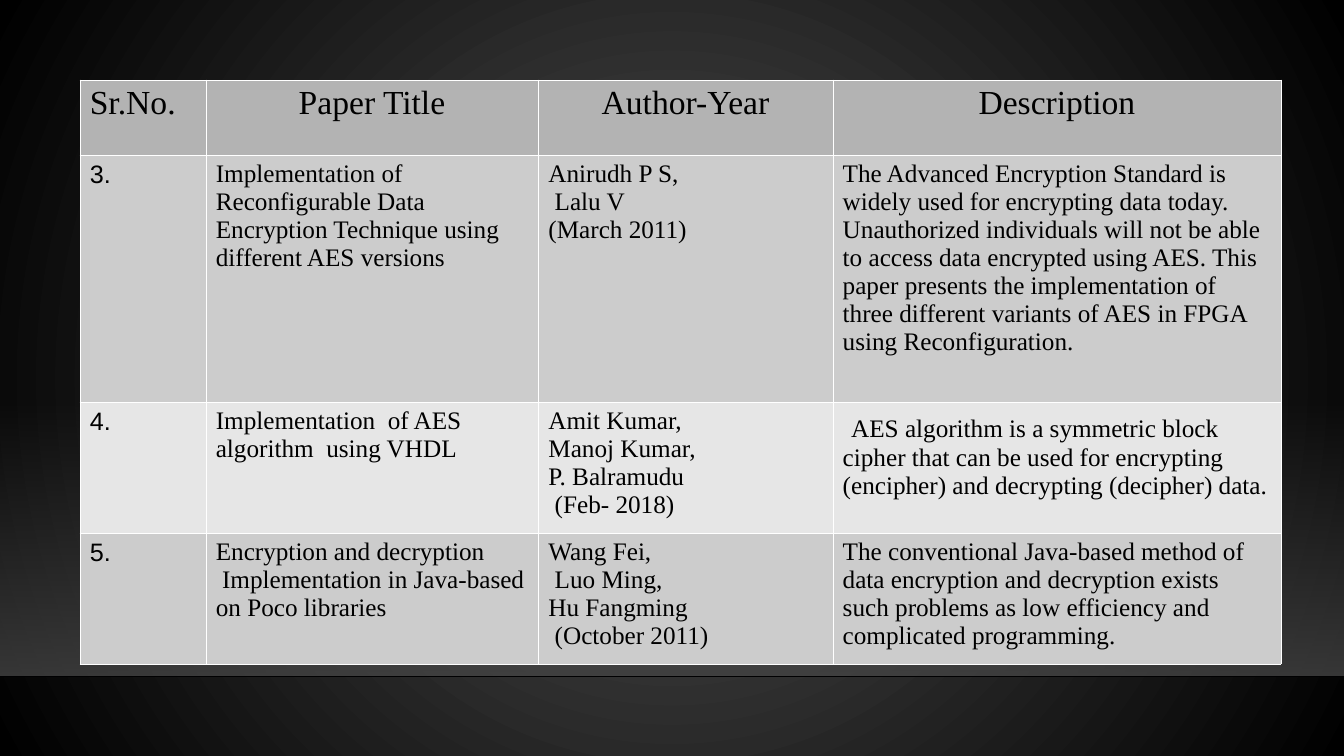
"""Builds a slide with a table that surveys papers on AES encryption."""
from pptx import Presentation
from pptx.dml.color import RGBColor
from pptx.enum.shapes import MSO_CONNECTOR, MSO_SHAPE
from pptx.enum.text import PP_ALIGN
from pptx.oxml import parse_xml
from pptx.oxml.ns import nsdecls, qn
from pptx.util import Inches, Pt

RECTANGLE = MSO_SHAPE.RECTANGLE
STRAIGHT = MSO_CONNECTOR.STRAIGHT
LEFT, CENTER = PP_ALIGN.LEFT, PP_ALIGN.CENTER
BLANK_LAYOUT = 6

RADIAL = '<a:path path="circle"><a:fillToRect l="50000" t="50000" r="50000" b="50000"/></a:path>'
DOWNWARD = '<a:lin ang="5400000" scaled="0"/>'

HEADINGS = ["Sr.No.", "Paper Title", "Author-Year", "Description"]
PAPERS = [
    ["3.",
     "Implementation of Reconfigurable Data Encryption Technique using different AES versions",
     "Anirudh P S,\n Lalu V\n(March 2011)",
     "The Advanced Encryption Standard is widely used for encrypting data today. "
     "Unauthorized individuals will not be able to access data encrypted using AES. "
     "This paper presents the implementation of three different variants of AES in FPGA "
     "using Reconfiguration."],
    ["4.",
     "Implementation  of AES\nalgorithm  using VHDL",
     "Amit Kumar,\nManoj Kumar,\nP. Balramudu\n (Feb- 2018)",
     " AES algorithm is a symmetric block cipher that can be used for encrypting "
     "(encipher) and decrypting (decipher) data."],
    ["5.",
     "Encryption and decryption\n Implementation in Java-based\non Poco libraries",
     "Wang Fei,\n Luo Ming,\nHu Fangming\n (October 2011)",
     "The conventional Java-based method of data encryption and decryption exists such "
     "problems as low efficiency and complicated programming."],
]
COLUMN_SHARES = [9.38, 24.75, 21.9, 33.38]
ROW_SHARES = [10, 32.67, 17.33, 17.33]


def color(value):
    """Turn a hex string into a colour."""
    return RGBColor.from_string(value)


def write(paragraph, text, *, size=18, font="Times New Roman", ink="000000", align=LEFT):
    """Add a formatted run of text to a paragraph."""
    paragraph.alignment = align
    run = paragraph.add_run()
    run.text = text
    run.font.size = Pt(size)
    run.font.name = font
    run.font.bold = False
    run.font.color.rgb = color(ink)


def apply_gradient(element, stops, direction):
    """Replace the solid fill in an element by a gradient of (place, colour, opacity) stops."""
    stop_list = "".join(
        f'<a:gs pos="{place * 1000}"><a:srgbClr val="{value}">'
        f'<a:alpha val="{opacity * 1000}"/></a:srgbClr></a:gs>'
        for place, value, opacity in stops)
    solid = element.find(".//" + qn("a:solidFill"))
    solid.getparent().replace(solid, parse_xml(
        f'<a:gradFill {nsdecls("a")} rotWithShape="1"><a:gsLst>{stop_list}</a:gsLst>'
        f'{direction}</a:gradFill>'))


class SlideBuilder:
    """Holds the style and the current slide; lengths are percentages of its size."""

    border = "FFFFFF"
    header_fill = "B3B3B3"
    band_fills = ["CCCCCC", "E6E6E6"]

    def __init__(self):
        """Start a widescreen presentation with one blank slide."""
        self.presentation = Presentation()
        self.presentation.slide_width = Inches(13.33)
        self.presentation.slide_height = Inches(7.5)
        layout = self.presentation.slide_layouts[BLANK_LAYOUT]
        self.slide = self.presentation.slides.add_slide(layout)

    def across(self, share):
        """Return a share of the slide's width."""
        return round(self.presentation.slide_width * share / 100)

    def down(self, share):
        """Return a share of the slide's height."""
        return round(self.presentation.slide_height * share / 100)

    def background(self, inner, outer):
        """Fill the background with a radial gradient."""
        self.slide.background.fill.solid()
        apply_gradient(self.slide.element, [(0, inner, 100), (100, outer, 100)], RADIAL)

    def glow(self, top, height, value, opacity):
        """Add a full-width band that fades in downwards."""
        shape = self.slide.shapes.add_shape(
            RECTANGLE, 0, self.down(top), self.across(100), self.down(height))
        shape.shadow.inherit = False
        shape.line.fill.background()
        shape.fill.solid()
        apply_gradient(shape.element, [(0, value, 0), (100, value, opacity)], DOWNWARD)

    def rule(self, top, value, width):
        """Add a full-width horizontal line."""
        connector = self.slide.shapes.add_connector(
            STRAIGHT, 0, self.down(top), self.across(100), self.down(top))
        connector.line.color.rgb = color(value)
        connector.line.width = Pt(width)
        properties = connector.element.find(qn("p:spPr"))
        properties.append(parse_xml(f'<a:effectLst {nsdecls("a")}/>'))

    def style_cell(self, cell, fill):
        """Give a cell its hairline borders and fill."""
        properties = cell._tc.get_or_add_tcPr()
        for side in "LRTB":
            properties.append(parse_xml(
                f'<a:ln{side} {nsdecls("a")} w="{Pt(0.06)}"><a:solidFill>'
                f'<a:srgbClr val="{self.border}"/></a:solidFill></a:ln{side}>'))
        cell.fill.solid()
        cell.fill.fore_color.rgb = color(fill)

    def fill_cell(self, cell, text, row, column):
        """Write a heading, a serial number or the details of a paper."""
        if row == 0:
            write(cell.text_frame.paragraphs[0], text, size=24,
                  align=CENTER if column else LEFT)
            return
        font = "Times New Roman" if column else "Arial"
        for index, line in enumerate(text.split("\n")):
            frame = cell.text_frame
            paragraph = frame.add_paragraph() if index else frame.paragraphs[0]
            if index == 0 and line.startswith(" "):
                write(paragraph, " ", size=24)
                line = line[1:]
            write(paragraph, line, font=font)

    def table(self, left, top, column_shares, row_shares, rows):
        """Add a table with a header and banded rows."""
        table = self.slide.shapes.add_table(
            len(rows), len(column_shares), self.across(left), self.down(top),
            self.across(sum(column_shares)), self.down(sum(row_shares))).table
        table.first_row = table.horz_banding = False
        for column, share in zip(table.columns, column_shares):
            column.width = self.across(share)
        for row, share in zip(table.rows, row_shares):
            row.height = self.down(share)
        for row, texts in enumerate(rows):
            fill = self.band_fills[(row - 1) % 2] if row else self.header_fill
            for column, text in enumerate(texts):
                cell = table.cell(row, column)
                self.style_cell(cell, fill)
                self.fill_cell(cell, text, row, column)


def main():
    """Build the slide and save it."""
    builder = SlideBuilder()
    builder.background("4F4F4F", "000000")
    builder.glow(52.8, 36.53, "454545", 80)
    builder.rule(89.47, "000001", 1)
    builder.table(5.93, 10.53, COLUMN_SHARES, ROW_SHARES, [HEADINGS, *PAPERS])
    builder.presentation.save("out.pptx")


if __name__ == "__main__":
    main()
